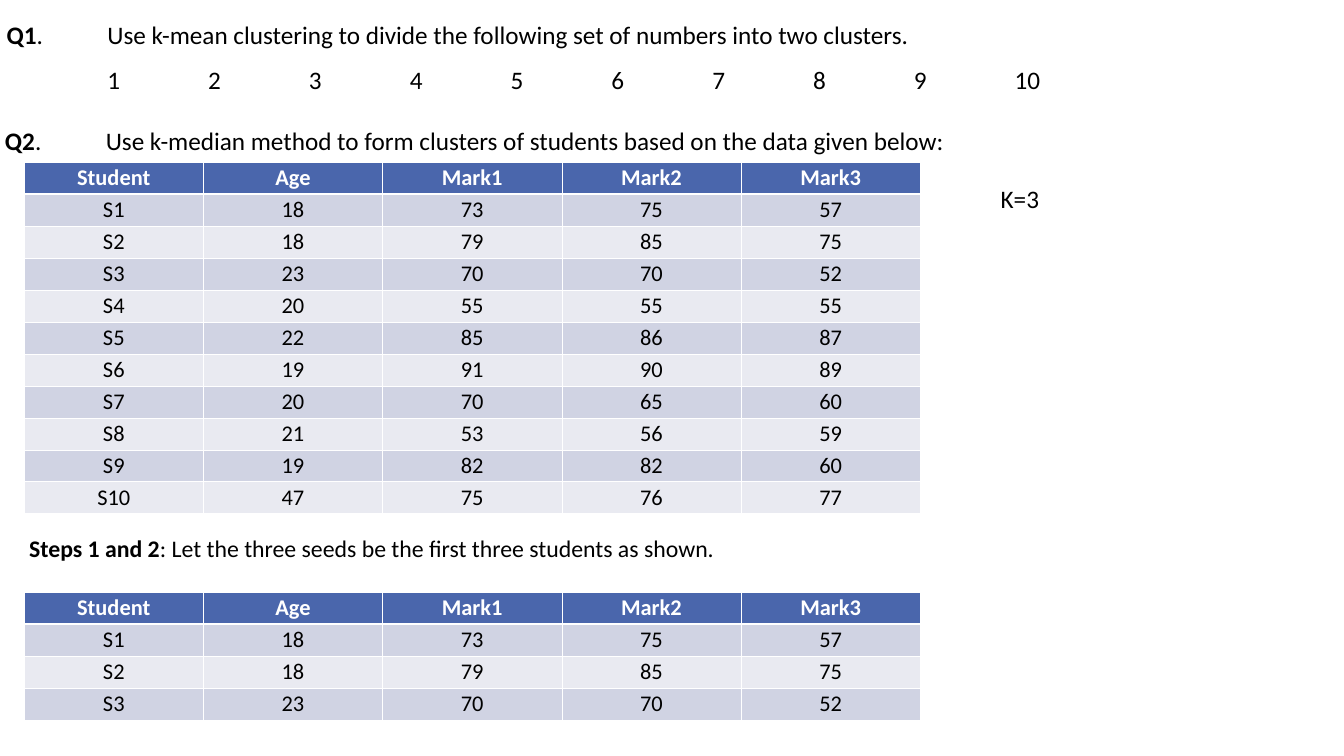
from dataclasses import dataclass

from lxml.etree import SubElement
from pptx import Presentation
from pptx.dml.color import RGBColor as RGB
from pptx.enum.text import MSO_ANCHOR as Anchor, MSO_AUTO_SIZE as AutoSize, PP_ALIGN as Align
from pptx.oxml.ns import qn
from pptx.util import Cm, Pt


@dataclass(frozen=True)
class Theme:
    font: str = "Calibri"
    text: str = "000000"
    white: str = "FFFFFF"
    header: str = "4A66AC"
    bands: tuple[str, str] = ("D0D3E3", "E9EAF1")
    question_size: int = 36
    step_size: int = 34
    cell_size: int = 32
    border: int = 1
    header_border: int = 3


@dataclass(frozen=True)
class TextBlock:
    left: float
    top: float
    width: float
    height: float
    lines: tuple[tuple[str, str], ...]
    size: int
    spacing: float | None = None
    wrap: bool = True


@dataclass(frozen=True)
class MarkTable:
    left: float
    top: float
    rows: list[tuple]


THEME = Theme()
TAB = 5.08
COLUMN_WIDTH, ROW_HEIGHT = 9.03, 1.61

HEADINGS = ("Student", "Age", "Mark1", "Mark2", "Mark3")
STUDENTS = [
    ("S1", 18, 73, 75, 57),
    ("S2", 18, 79, 85, 75),
    ("S3", 23, 70, 70, 52),
    ("S4", 20, 55, 55, 55),
    ("S5", 22, 85, 86, 87),
    ("S6", 19, 91, 90, 89),
    ("S7", 20, 70, 65, 60),
    ("S8", 21, 53, 56, 59),
    ("S9", 19, 82, 82, 60),
    ("S10", 47, 75, 76, 77),
]
NUMBERS = "".join(f"\t{n}" for n in range(1, 11))

TABLES = [
    MarkTable(1.22, 8.18, STUDENTS),
    MarkTable(1.22, 29.85, STUDENTS[:3]),
]
BLOCKS = [
    TextBlock(0.08, 0.08, 67.72, 4.88, (
        ("Q1", ".\tUse k-mean clustering to divide the following set of numbers into two clusters."),
        ("", NUMBERS),
    ), THEME.question_size, 1.5),
    TextBlock(0, 5.44, 67.72, 2.57, (
        ("Q2", ".\tUse k-median method to form clusters of students based on the data given below:"),
    ), THEME.question_size, 1.5),
    TextBlock(1.22, 26.75, 36.45, 1.7, (
        ("Steps 1 and 2", ": Let the three seeds be the first three students as shown."),
    ), THEME.step_size, wrap=False),
    TextBlock(50.17, 9.12, 2.54, 1.8, (("", "K=3"),), THEME.question_size, wrap=False),
]


def add_run(p, text: str, size: int, color: str, bold: bool) -> None:
    """Append a formatted run to a paragraph."""
    r = p.add_run()
    r.text = text
    for name, value in {"name": THEME.font, "size": Pt(size), "bold": bold}.items():
        setattr(r.font, name, value)
    r.font.color.rgb = RGB.from_string(color)


def add_tab_stops(p, count: int) -> None:
    """Give a paragraph evenly spaced left tab stops."""
    stops = SubElement(p._p.get_or_add_pPr(), qn("a:tabLst"))
    for i in range(1, count + 1):
        SubElement(stops, qn("a:tab"), pos=str(Cm(TAB * i)), algn="l")


def add_text_block(s, block: TextBlock) -> None:
    """Draw a text box whose lines each open with an optional bold label."""
    sp = s.shapes.add_textbox(*map(Cm, (block.left, block.top, block.width, block.height)))
    tf = sp.text_frame
    for name, value in {"word_wrap": block.wrap, "auto_size": AutoSize.SHAPE_TO_FIT_TEXT}.items():
        setattr(tf, name, value)
    for i, (label, body) in enumerate(block.lines):
        p = tf.add_paragraph() if i else tf.paragraphs[0]
        if block.spacing:
            p.line_spacing = block.spacing
        if "\t" in body:
            add_tab_stops(p, body.count("\t"))
        if label:
            add_run(p, label, block.size, THEME.text, True)
        add_run(p, body, block.size, THEME.text, False)


def set_borders(cell, top: int, bottom: int) -> None:
    """Draw white lines on the four sides of a cell."""
    widths = {"L": THEME.border, "R": THEME.border, "T": top, "B": bottom}
    for side, width in widths.items():
        ln = SubElement(cell._tc.get_or_add_tcPr(), qn(f"a:ln{side}"), w=str(Pt(width)))
        SubElement(SubElement(ln, qn("a:solidFill")), qn("a:srgbClr"), val=THEME.white)


def format_cell(cell, text: str, row: int) -> None:
    """Fill, outline and label one cell according to its row."""
    is_header = row == 0
    set_borders(cell, THEME.header_border if row == 1 else THEME.border,
                THEME.header_border if is_header else THEME.border)
    cell.fill.solid()
    cell.fill.fore_color.rgb = RGB.from_string(THEME.header if is_header else THEME.bands[(row - 1) % 2])
    for name, value in {"margin_top": 0, "margin_bottom": 0, "vertical_anchor": Anchor.MIDDLE}.items():
        setattr(cell, name, value)
    p = cell.text_frame.paragraphs[0]
    p.alignment = Align.CENTER
    add_run(p, text, THEME.cell_size, THEME.white if is_header else THEME.text, is_header)


def add_mark_table(s, spec: MarkTable) -> None:
    """Draw a table of student marks below its headings."""
    rows = [HEADINGS, *spec.rows]
    table = s.shapes.add_table(
        len(rows), len(HEADINGS), Cm(spec.left), Cm(spec.top),
        Cm(COLUMN_WIDTH * len(HEADINGS)), Cm(ROW_HEIGHT * len(rows)),
    ).table
    for i, values in enumerate(rows):
        for j, value in enumerate(values):
            format_cell(table.cell(i, j), str(value), i)


def main() -> None:
    """Build and save the clustering exercise slide."""
    prs = Presentation()
    prs.slide_width, prs.slide_height = Cm(67.72), Cm(38.1)
    s = prs.slides.add_slide(prs.slide_layouts[6])
    for table in TABLES:
        add_mark_table(s, table)
    for block in BLOCKS:
        add_text_block(s, block)
    prs.save("out.pptx")


if __name__ == "__main__":
    main()
